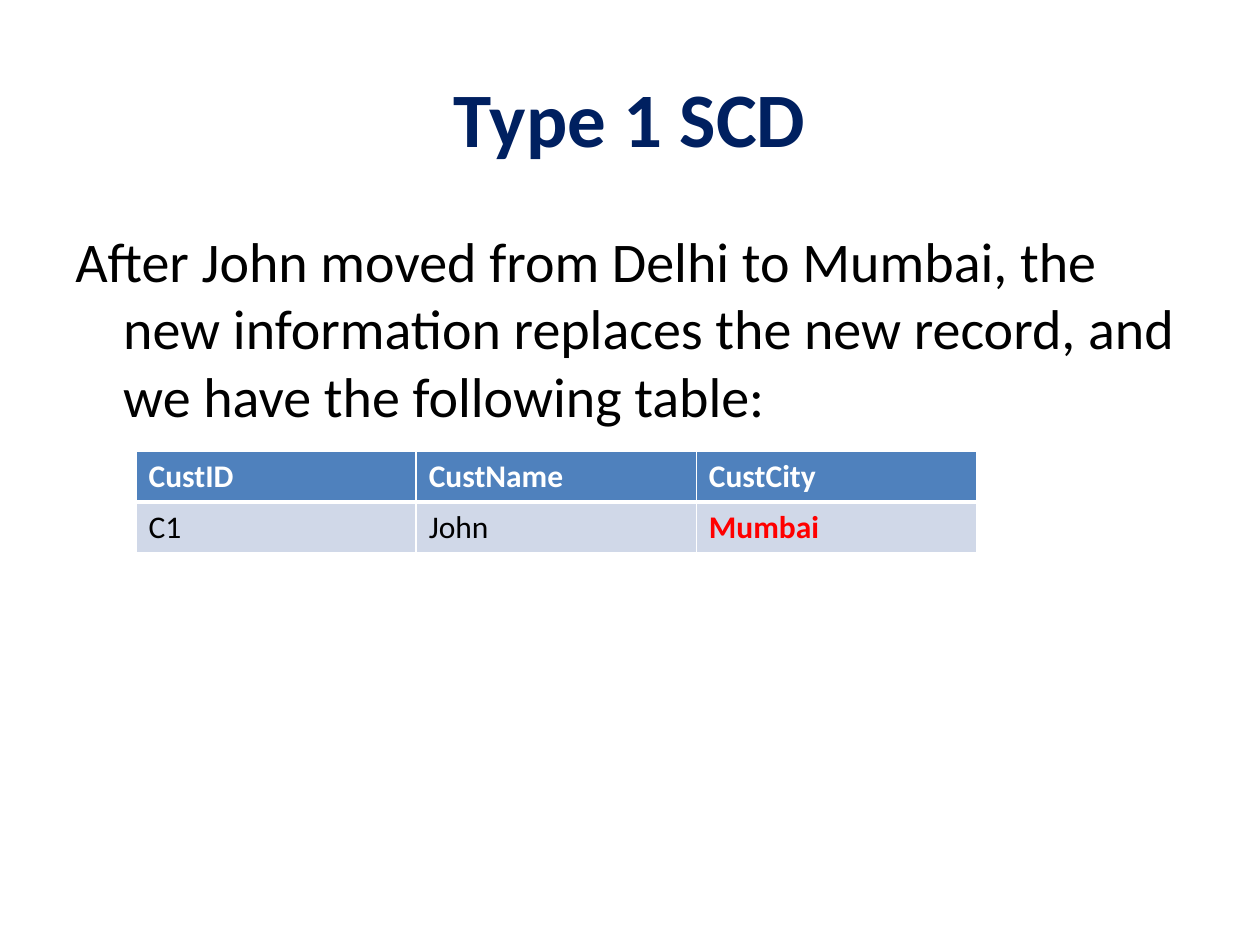
from lxml import etree
from pptx import Presentation
from pptx.dml.color import RGBColor
from pptx.enum.text import MSO_ANCHOR, PP_ALIGN
from pptx.oxml.ns import qn
from pptx.util import Inches, Pt

MIDDLE = MSO_ANCHOR.MIDDLE
CENTER = PP_ALIGN.CENTER
BLANK_LAYOUT = 6
WHITE, BLACK, NAVY, RED = "FFFFFF", "000000", "002060", "FF0000"
HEADER_BLUE, ROW_BLUE = "4F81BD", "D0D8E8"


def add_run(para, text, size, color, bold=False):
    span = para.add_run()
    span.text = text
    span.font.name = "Calibri"
    span.font.size = Pt(size)
    span.font.bold = bold
    span.font.color.rgb = RGBColor.from_string(color)


def add_border(cell, side, points):
    """Draw a white line on one side (L, R, T or B); call before filling the cell."""
    properties = cell._tc.get_or_add_tcPr()
    line = etree.SubElement(properties, qn(f"a:ln{side}"), w=str(Pt(points)))
    fill = etree.SubElement(line, qn("a:solidFill"))
    etree.SubElement(fill, qn("a:srgbClr"), val=WHITE)


deck = Presentation()
deck.slide_width = Inches(10)
deck.slide_height = Inches(7.5)
page = deck.slides.add_slide(deck.slide_layouts[BLANK_LAYOUT])

title_box = page.shapes.add_textbox(Inches(0.5), Inches(0.3), Inches(9), Inches(1.25))
title_box.text_frame.word_wrap = True
title_box.text_frame.vertical_anchor = MIDDLE
title = title_box.text_frame.paragraphs[0]
title.alignment = CENTER
add_run(title, "Type 1 SCD", 44, NAVY, bold=True)

body_box = page.shapes.add_textbox(Inches(0.5), Inches(1.75), Inches(9), Inches(4.95))
body_box.text_frame.word_wrap = True
body = body_box.text_frame.paragraphs[0]
hanging = body._p.get_or_add_pPr()
hanging.set("marL", str(Inches(0.38)))
hanging.set("indent", str(Inches(-0.38)))
add_run(
    body,
    "After John moved from Delhi to Mumbai, the new information "
    "replaces the new record, and we have the following table:",
    32,
    BLACK,
)

customers = [
    ["CustID", "CustName", "CustCity"],
    ["C1", "John", "Mumbai"],
]
table = page.shapes.add_table(
    len(customers), len(customers[0]),
    Inches(1.08), Inches(3.58), Inches(6.67), Inches(0.81),
).table

for row_index, values in enumerate(customers):
    is_header = row_index == 0
    for column_index, value in enumerate(values):
        cell = table.cell(row_index, column_index)
        for side in "LRTB":
            on_header_rule = side == ("B" if is_header else "T")
            add_border(cell, side, 3 if on_header_rule else 1)
        cell.fill.solid()
        cell.fill.fore_color.rgb = RGBColor.from_string(HEADER_BLUE if is_header else ROW_BLUE)
        changed = value == "Mumbai"
        color = WHITE if is_header else RED if changed else BLACK
        add_run(cell.text_frame.paragraphs[0], value, 18, color, bold=is_header or changed)

deck.save("out.pptx")
